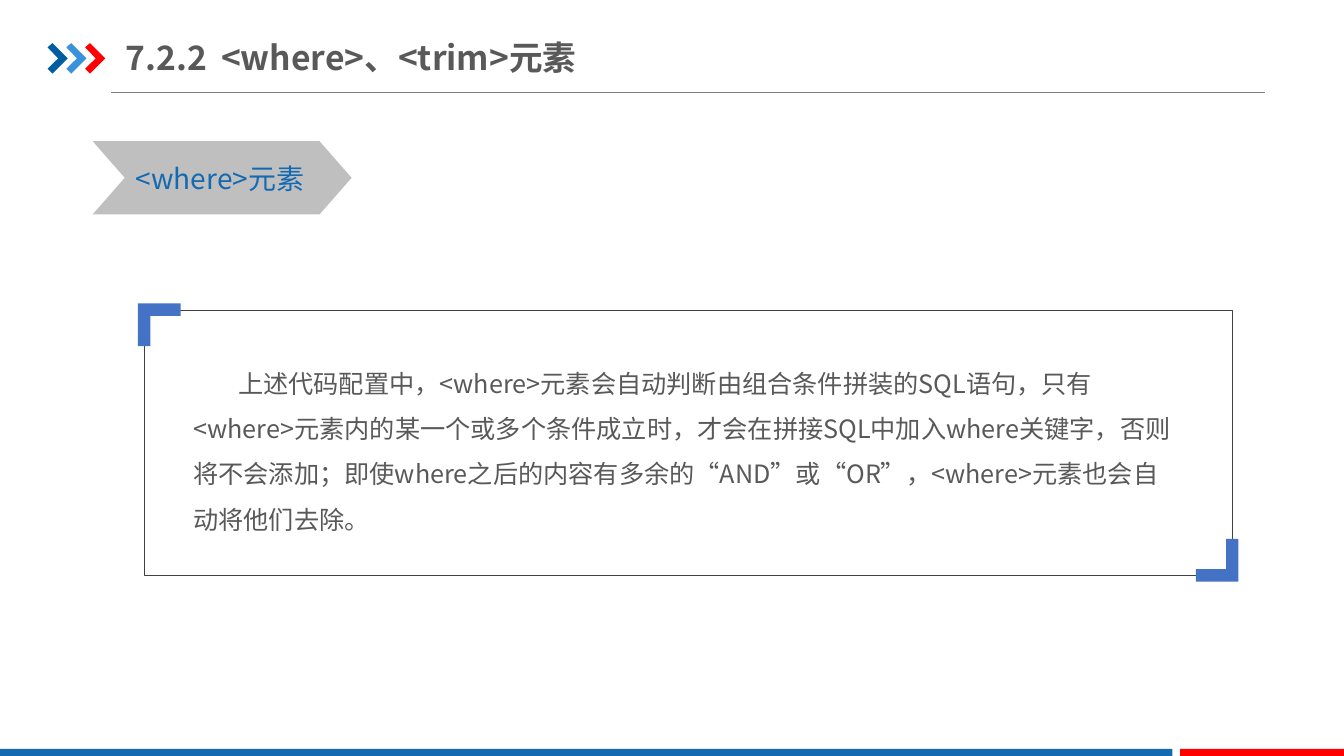
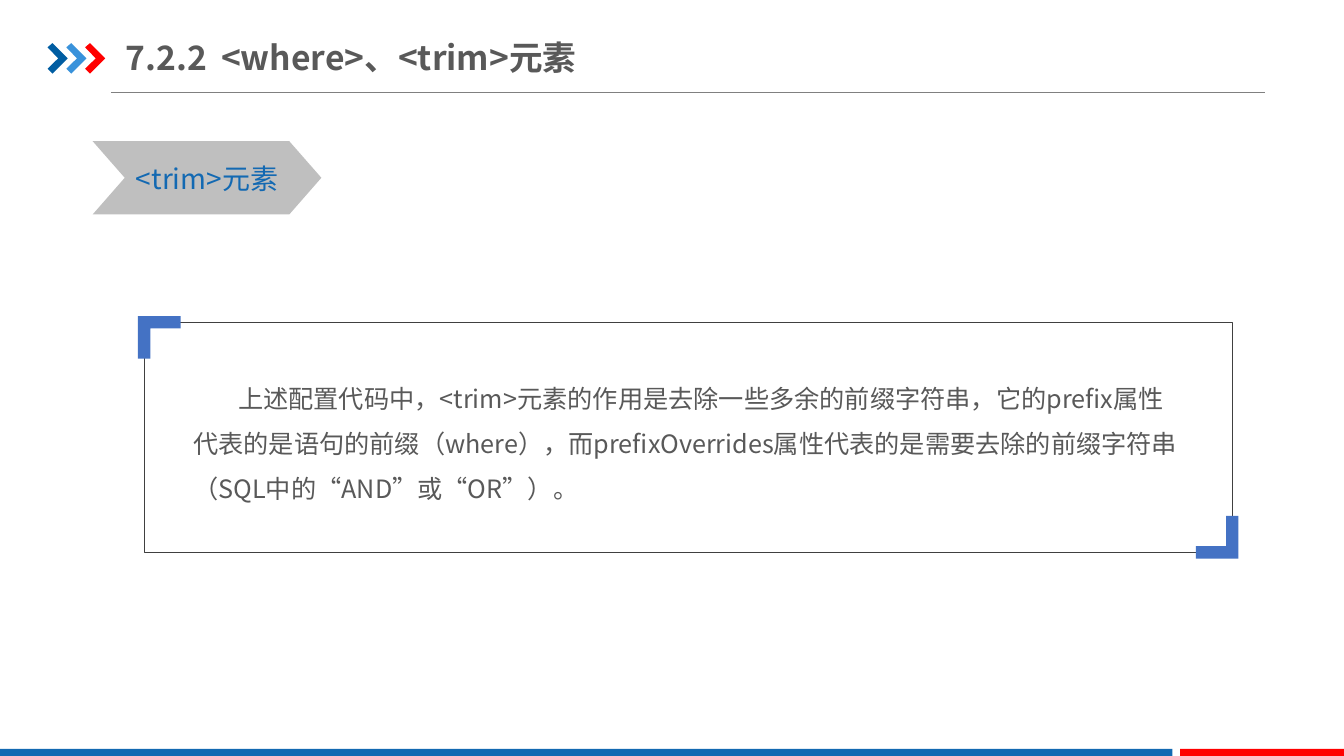
"""Builds two slides on the where and trim elements."""
import pptx
import pptx.util
import pptx.dml.color
import pptx.enum.shapes
import pptx.enum.text
import pptx.oxml.ns
from lxml import etree

Pt = pptx.util.Pt
qn = pptx.oxml.ns.qn
KIND = pptx.enum.shapes.MSO_SHAPE
FONT = "Noto Sans CJK SC"
BLUE, RED, GRAY = "1369B2", "FF0000", "595959"
ARROW = [(0, 3), (3.5, 0), (14.4, 10.9), (3.5, 21.8), (0, 18.3), (7.6, 10.9)]
CORNER = [(0, 0), (30.4, 0), (30.4, 8.8), (8.8, 8.8), (8.8, 30.4), (0, 30.4)]
TITLE = "7.2.2\t<where>、<trim>元素"
LEFT, WIDE, OUT = 103.2, 776.8, 4.6

PAGES = [
    ("<where>元素", 185, 221.4, 189.4, 248.4,
     "上述代码配置中，<where>元素会自动判断由组合条件拼装的SQL语句，只有<where>元素内的某一个或多个"
     "条件成立时，才会在拼接SQL中加入where关键字，否则将不会添加；即使where之后的内容有多余的“AND”或“OR”，"
     "<where>元素也会自动将他们去除。"),
    ("<trim>元素", 163.4, 230.4, 164, 259.2,
     "上述配置代码中，<trim>元素的作用是去除一些多余的前缀字符串，它的prefix属性代表的是语句的前缀（where），"
     "而prefixOverrides属性代表的是需要去除的前缀字符串（SQL中的“AND”或“OR”）。"),
]


def paint(shape, fill=None, line=None):
    """Set fill and line from hex strings and drop the shadow."""
    shape.shadow.inherit = False
    for part, color in ((shape.fill, fill), (shape.line.fill, line)):
        if color:
            part.solid()
            part.fore_color.rgb = pptx.dml.color.RGBColor.from_string(color)
        else:
            part.background()


def write(slide, box, text, size, color, wrap=True):
    """Add a text box and return its frame and paragraph."""
    frame = slide.shapes.add_textbox(*map(Pt, box)).text_frame
    frame.word_wrap = wrap
    para = frame.paragraphs[0]
    para.text = text
    for run in para.runs:
        run.font.size = Pt(size)
        run.font.name = FONT
        run.font.color.rgb = pptx.dml.color.RGBColor.from_string(color)
        etree.SubElement(run.font._element, qn("a:ea"), typeface=FONT)
    return frame, para


deck = pptx.Presentation()
deck.slide_width, deck.slide_height = Pt(960), Pt(540)

for label, width, top, high, start, body in PAGES:
    slide = deck.slides.add_slide(deck.slide_layouts[6])
    shapes = slide.shapes

    rule = shapes.add_connector(
        pptx.enum.shapes.MSO_CONNECTOR.STRAIGHT, Pt(79.2), Pt(65.8), Pt(903.6), Pt(65.8))
    rule.line.width = Pt(0.5)
    rule.line.color.rgb = pptx.dml.color.RGBColor.from_string("808080")
    etree.SubElement(rule._element.spPr, qn("a:effectLst"))

    for left, span, color in ((0, 837.4, BLUE), (843, 117, RED)):
        band = shapes.add_shape(KIND.RECTANGLE, Pt(left), Pt(535), Pt(span), Pt(5))
        paint(band, color)

    frame, para = write(slide, (90, 20.9, 363, 39.6), TITLE, 24, GRAY)
    frame.margin_left = frame.margin_right = 0
    frame.vertical_anchor = pptx.enum.text.MSO_ANCHOR.MIDDLE
    para.runs[0].font.bold = True
    tabs = etree.SubElement(para._p.get_or_add_pPr(), qn("a:tabLst"))
    etree.SubElement(tabs, qn("a:tab"), pos=str(Pt(68)), algn="l")

    tag = shapes.add_shape(KIND.CHEVRON, Pt(66.2), Pt(100.8), Pt(width), Pt(52.4))
    tag.adjustments[0] = 0.438
    paint(tag, "BFBFBF")
    write(slide, (90, 111.6, width - 34, 31.7), label, 20, BLUE, False)

    frame, para = write(slide, (131, start, 718, high - 2 * (start - top)), body, 18, GRAY)
    para.line_spacing = 1.5
    para._p.get_or_add_pPr().set("indent", str(Pt(32)))

    border = shapes.add_shape(KIND.RECTANGLE, Pt(LEFT), Pt(top), Pt(WIDE), Pt(high))
    paint(border, None, "404040")
    border.line.width = Pt(0.25)

    marks = [(ARROW, 34 + 13.4 * i, 30.8, 1, color)
             for i, color in enumerate(("005DA2", "3992DB", RED))]
    marks += [(CORNER, LEFT - OUT, top - OUT, 1, "4472C4"),
              (CORNER, LEFT + WIDE + OUT, top + high + OUT, -1, "4472C4")]
    for outline, x, y, sign, color in marks:
        spots = [(Pt(x + sign * dx), Pt(y + sign * dy)) for dx, dy in outline]
        pen = shapes.build_freeform(*spots[0])
        pen.add_line_segments(spots[1:], close=True)
        paint(pen.convert_to_shape(), color)

deck.save("out.pptx")
